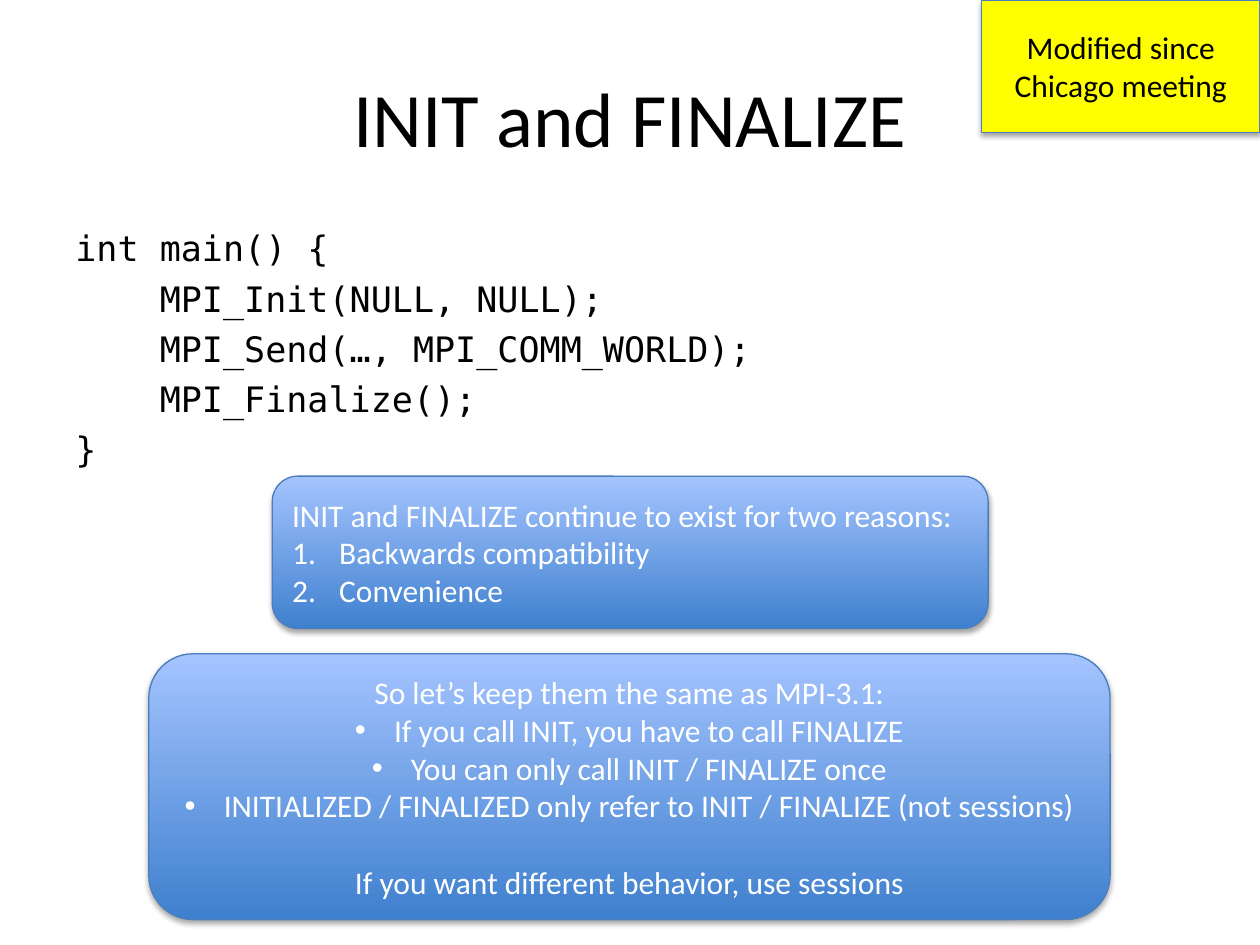
import pptx
import pptx.dml.color
import pptx.enum.shapes
import pptx.enum.text
import pptx.oxml
import pptx.oxml.ns
import pptx.util
from pptx.util import Cm

RGBColor = pptx.dml.color.RGBColor
Shape = pptx.enum.shapes.MSO_SHAPE
Align = pptx.enum.text.PP_ALIGN
Anchor = pptx.enum.text.MSO_ANCHOR

BLACK = RGBColor(0x00, 0x00, 0x00)
WHITE = RGBColor(0xFF, 0xFF, 0xFF)
YELLOW = RGBColor(0xFF, 0xFF, 0x00)
BORDER = RGBColor(0x4B, 0x7E, 0xBC)
DEEP_BLUE = RGBColor(0x3F, 0x80, 0xCE)
PALE_BLUE = RGBColor(0xA4, 0xC4, 0xFF)

BODY_FONT = "Calibri"
CODE_FONT = "DejaVu Sans Mono"
BLANK_LINE = 22

TITLE = "INIT and FINALIZE"
CODE = [
    "int main() {",
    "    MPI_Init(NULL, NULL);",
    "    MPI_Send(…, MPI_COMM_WORLD);",
    "    MPI_Finalize();",
    "}",
]
REASONS_LEAD = "INIT and FINALIZE continue to exist for two reasons:"
REASONS = ["Backwards compatibility", "Convenience"]
RULES_LEAD = "So let’s keep them the same as MPI-3.1:"
RULES = [
    "If you call INIT, you have to call FINALIZE",
    "You can only call INIT / FINALIZE once",
    "INITIALIZED / FINALIZED only refer to INIT / FINALIZE (not sessions)",
]
RULES_CLOSE = "If you want different behavior, use sessions"
BADGE = "Modified since Chicago meeting"

NUMBERED = '<a:buAutoNum {} type="arabicPeriod"/>'
DOTTED = '<a:buChar {} char="•"/>'
SHADOW = (
    '<a:outerShdw {} blurRad="39370" dist="22860" dir="5400000" rotWithShape="0">'
    '<a:srgbClr val="000000"><a:alpha val="35000"/></a:srgbClr></a:outerShdw>'
)


def xml_element(template):
    return pptx.oxml.parse_xml(template.format(pptx.oxml.ns.nsdecls("a")))


def add_text(frame, text, size=18, font=BODY_FONT, color=WHITE,
             align=Align.LEFT, before=0, bullet=None, indent=0):
    para = frame.paragraphs[0]
    if para.runs:
        para = frame.add_paragraph()
    if bullet:
        properties = para._p.get_or_add_pPr()
        properties.set("marL", str(Cm(indent)))
        properties.set("indent", str(-Cm(indent)))
        properties.append(xml_element('<a:buFont {} typeface="Arial"/>' if bullet == DOTTED
                                      else '<a:buFont {} typeface="+mj-lt"/>'))
        properties.append(xml_element(bullet))
    para.alignment = align
    if before:
        para.space_before = pptx.util.Pt(before)
    span = para.add_run()
    span.text = text
    span.font.size = pptx.util.Pt(size)
    span.font.name = font
    span.font.color.rgb = color


def add_panel(page, kind, left, top, width, height, solid=None):
    panel = page.shapes.add_shape(kind, Cm(left), Cm(top), Cm(width), Cm(height))
    if solid is not None:
        panel.fill.solid()
        panel.fill.fore_color.rgb = solid
    else:
        panel.fill.gradient()
        panel.fill.gradient_angle = 90
        for stop, color in zip(panel.fill.gradient_stops, (DEEP_BLUE, PALE_BLUE)):
            stop.color.rgb = color
        panel.fill.gradient_stops[0].position = 0
        panel.fill.gradient_stops[1].position = 1
    panel.line.color.rgb = BORDER
    panel.line.width = pptx.util.Pt(0.75)
    panel.shadow.inherit = False
    effects = panel._element.spPr.find(pptx.oxml.ns.qn("a:effectLst"))
    effects.append(xml_element(SHADOW))
    panel.text_frame.word_wrap = True
    panel.text_frame.vertical_anchor = Anchor.MIDDLE
    return panel.text_frame


def main():
    deck = pptx.Presentation()
    deck.slide_width, deck.slide_height = Cm(25.4), Cm(19.05)
    page = deck.slides.add_slide(deck.slide_layouts[5])

    title = page.shapes.title
    title.left, title.top, title.width, title.height = Cm(1.27), Cm(0.76), Cm(22.86), Cm(3.18)
    title.text_frame.vertical_anchor = Anchor.MIDDLE
    add_text(title.text_frame, TITLE, size=44, color=BLACK, align=Align.CENTER)

    listing = page.shapes.add_textbox(Cm(1.27), Cm(4.45), Cm(22.86), Cm(12.57)).text_frame
    listing.word_wrap = True
    for index, line in enumerate(CODE):
        add_text(listing, line, size=20, font=CODE_FONT, color=BLACK,
                 before=4.7 if index else 0)

    reasons = add_panel(page, Shape.ROUNDED_RECTANGLE, 5.49, 9.6, 14.43, 3.07)
    add_text(reasons, REASONS_LEAD)
    for reason in REASONS:
        add_text(reasons, reason, bullet=NUMBERED, indent=0.95)

    rules = add_panel(page, Shape.ROUNDED_RECTANGLE, 3, 13.18, 19.38, 5.36)
    add_text(rules, RULES_LEAD, align=Align.CENTER)
    for rule in RULES:
        add_text(rules, rule, align=Align.CENTER, bullet=DOTTED, indent=0.79)
    add_text(rules, RULES_CLOSE, align=Align.CENTER, before=BLANK_LINE)

    badge = add_panel(page, Shape.RECTANGLE, 19.79, 0, 5.61, 2.67, solid=YELLOW)
    add_text(badge, BADGE, color=BLACK, align=Align.CENTER)

    deck.save("out.pptx")


if __name__ == "__main__":
    main()
